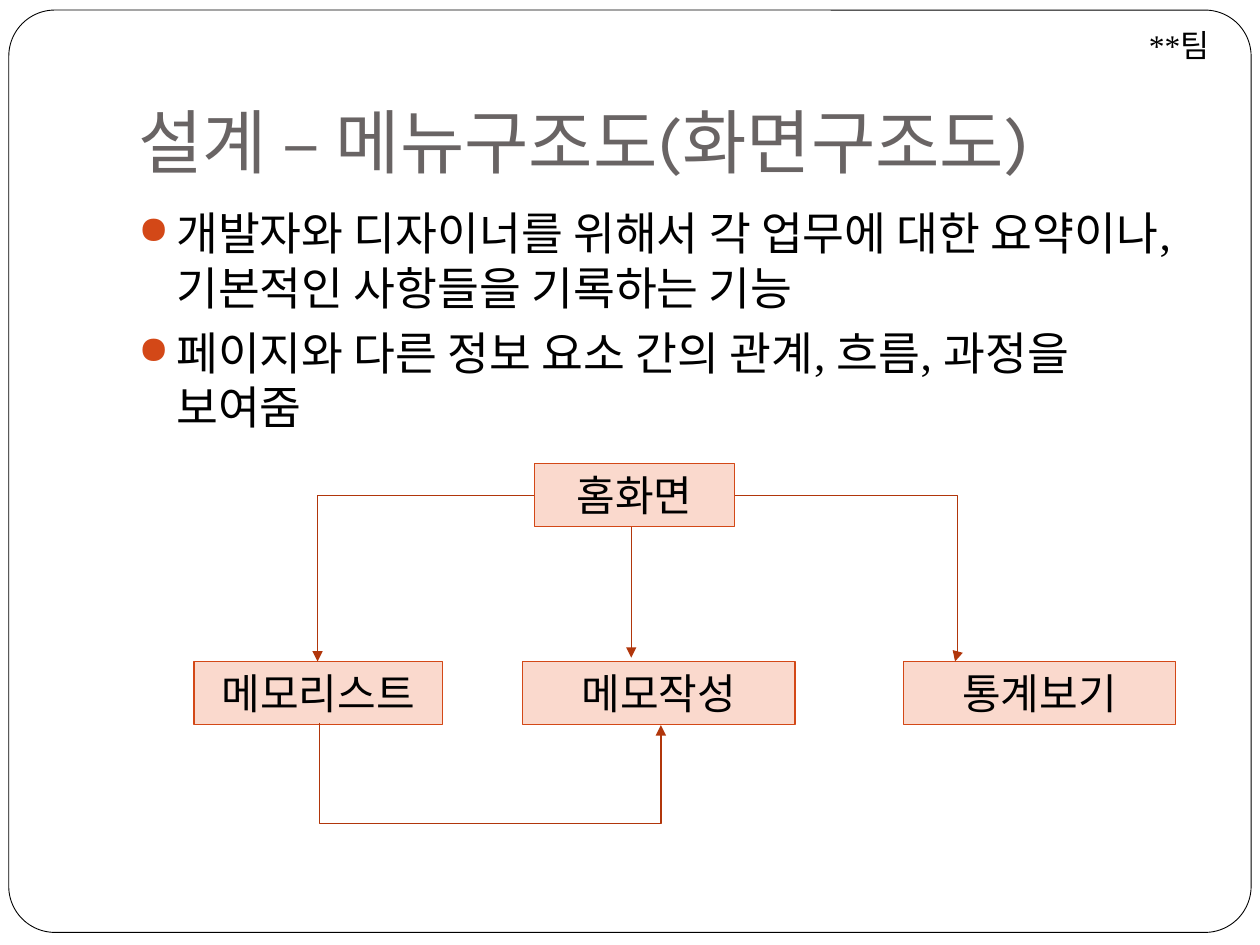
from lxml import etree
from pptx import Presentation
from pptx import util as u
from pptx.dml.color import RGBColor
from pptx.enum import shapes, text
from pptx.oxml.ns import qn

WIDTH, HEIGHT = 10, 7.5
SERIF = "Times New Roman"
ACCENT, ARROW, BOX_FILL = "D34817", "B1360B", "FAD9CD"
BOX_HEIGHT = 0.5
HOME_TOP, MENU_TOP = 3.68, 5.25
HOME_MIDDLE = HOME_TOP + BOX_HEIGHT / 2
BULLETS = [
    "개발자와 디자이너를 위해서 각 업무에 대한 요약이나, 기본적인 사항들을 기록하는 기능",
    "페이지와 다른 정보 요소 간의 관계, 흐름, 과정을 보여줌",
]
# Menu boxes: label, left, top, width
BOXES = [
    ("홈화면", 4.24, HOME_TOP, 1.59),
    ("메모작성", 4.15, MENU_TOP, 2.16),
    ("통계보기", 7.17, MENU_TOP, 2.16),
    ("메모리스트", 1.54, MENU_TOP, 1.97),
]


def color(value):
    return RGBColor.from_string(value)


def inches(*values):
    return [u.Inches(value) for value in values]


def write(frame, *lines, size, font=SERIF, ink="000000", align=text.PP_ALIGN.LEFT,
          anchor=text.MSO_ANCHOR.TOP, bullet=None):
    frame.word_wrap = True
    frame.auto_size = text.MSO_AUTO_SIZE.NONE
    frame.vertical_anchor = anchor
    for index, line in enumerate(lines):
        paragraph = frame.add_paragraph() if index else frame.paragraphs[0]
        paragraph.alignment = align
        run = paragraph.add_run()
        run.text = line
        run.font.size = u.Pt(size)
        run.font.name = font
        run.font.color.rgb = color(ink)
        if bullet:
            paragraph.space_before = u.Pt(5.8)
            add_bullet(paragraph, bullet)


def add_bullet(paragraph, ink):
    props = paragraph._p.get_or_add_pPr()
    indent = u.Inches(0.3)
    props.set("marL", str(indent))
    props.set("indent", str(-indent))
    tint = etree.SubElement(props, qn("a:buClr"))
    etree.SubElement(tint, qn("a:srgbClr"), val=ink)
    etree.SubElement(props, qn("a:buSzPct"), val="85000")
    etree.SubElement(props, qn("a:buChar"), char="●")


def add_panel(slide, preset, place, fill, line, weight):
    panel = slide.shapes.add_shape(preset, *inches(*place))
    panel.shadow.inherit = False
    panel.fill.solid()
    panel.fill.fore_color.rgb = color(fill)
    panel.line.color.rgb = color(line)
    panel.line.width = u.Pt(weight)
    return panel


def add_text(slide, place, *lines, **style):
    box = slide.shapes.add_textbox(*inches(*place))
    write(box.text_frame, *lines, **style)


def add_arrow(slide, start, end, kind=shapes.MSO_CONNECTOR.STRAIGHT):
    arrow = slide.shapes.add_connector(kind, *inches(*start, *end))
    arrow.line.color.rgb = color(ARROW)
    arrow.line.width = u.Pt(0.75)
    etree.SubElement(arrow.line._get_or_add_ln(), qn("a:tailEnd"), type="triangle")
    etree.SubElement(arrow._element.spPr, qn("a:effectLst"))
    return arrow


def add_elbow(slide, place, preset="bentConnector3", bend=None, turn=0, flip=None):
    left, top, width, height = place
    arrow = add_arrow(slide, (left, top), (left + width, top + height),
                      shapes.MSO_CONNECTOR.ELBOW)
    props = arrow._element.spPr
    geometry = props.find(qn("a:prstGeom"))
    geometry.set("prst", preset)
    if bend is not None:
        guides = geometry.find(qn("a:avLst"))
        etree.SubElement(guides, qn("a:gd"), name="adj1", fmla=f"val {round(bend * 100000)}")
    frame = props.find(qn("a:xfrm"))
    if turn:
        frame.set("rot", str(turn * 60000))
    if flip:
        frame.set(flip, "1")


def add_title(slide):
    title = slide.shapes.title
    title.left, title.top, title.width, title.height = inches(1, 0.3, 8.5, 1.25)
    title.text_frame.margin_bottom = u.Inches(0.1)
    write(title.text_frame, "설계 – 메뉴구조도(화면구조도)", size=40, font="Karla",
          ink="696464", anchor=text.MSO_ANCHOR.BOTTOM)


def main():
    deck = Presentation()
    deck.slide_width, deck.slide_height = inches(WIDTH, HEIGHT)
    slide = deck.slides.add_slide(deck.slide_layouts[5])

    # Rounded page frame, behind the title
    page = add_panel(slide, shapes.MSO_SHAPE.ROUNDED_RECTANGLE,
                     (0.07, 0.08, 9.86, 7.32), "FFFFFF", "000000", 0.5)
    page.adjustments[0] = 0.05
    slide.shapes._spTree.insert(2, page._element)

    # Heading, team name and bullets
    add_title(slide)
    add_text(slide, (9.02, 0.16, 0.69, 0.4), "**팀", size=18)
    add_text(slide, (1, 1.58, 8.5, 2), *BULLETS, size=26, bullet=ACCENT)

    # Menu boxes
    for label, left, top, width in BOXES:
        box = add_panel(slide, shapes.MSO_SHAPE.RECTANGLE,
                        (left, top, width, BOX_HEIGHT), BOX_FILL, ACCENT, 0.75)
        write(box.text_frame, label, size=24, align=text.PP_ALIGN.CENTER,
              anchor=text.MSO_ANCHOR.MIDDLE)

    # Home screen to each menu, then memo list to memo writing
    drop = MENU_TOP - HOME_MIDDLE
    add_arrow(slide, (5.01, HOME_TOP + BOX_HEIGHT), (5.01, 5.22))
    add_elbow(slide, (5.83, HOME_MIDDLE, 1.75, drop), bend=1.01)
    add_elbow(slide, (2.52, HOME_MIDDLE, 1.72, drop), "bentConnector2", turn=180, flip="flipV")
    add_elbow(slide, (3.88, 4.39, 0.02, 2.71), bend=40, turn=270, flip="flipH")

    deck.save("out.pptx")


if __name__ == "__main__":
    main()
